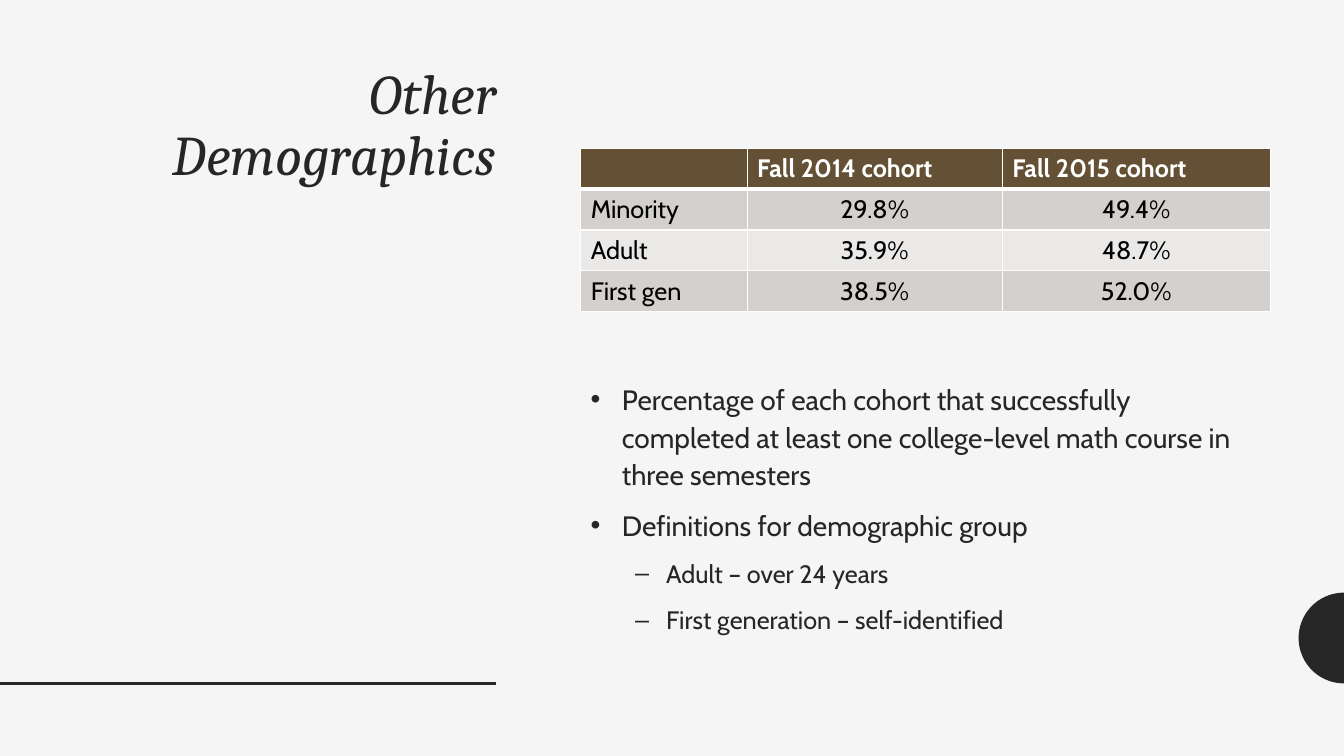
from math import cos, pi, sin

from lxml import etree
from pptx import Presentation
from pptx.dml.color import RGBColor
from pptx.enum.shapes import MSO_CONNECTOR
from pptx.enum.text import MSO_ANCHOR, MSO_AUTO_SIZE, PP_ALIGN
from pptx.oxml.ns import qn
from pptx.util import Inches, Pt

STRAIGHT = MSO_CONNECTOR.STRAIGHT
TOP, MIDDLE = MSO_ANCHOR.TOP, MSO_ANCHOR.MIDDLE
LEFT, CENTER, RIGHT = PP_ALIGN.LEFT, PP_ALIGN.CENTER, PP_ALIGN.RIGHT
NO_AUTOSIZE = MSO_AUTO_SIZE.NONE

COLORS = {
    "background": "F5F5F5",
    "ink": "262626",
    "header": "645135",
    "dark_band": "D3D0CE",
    "light_band": "EAE9E8",
    "white": "FFFFFF",
    "black": "000000",
}


def color(name):
    return RGBColor.from_string(COLORS[name])


def add_text(paragraph, text, color_name, **font_values):
    run = paragraph.add_run()
    run.text = text
    for name, value in font_values.items():
        setattr(run.font, name, value)
    run.font.color.rgb = color(color_name)


presentation = Presentation()
presentation.slide_width = Inches(13.33)
presentation.slide_height = Inches(7.5)
slide = presentation.slides.add_slide(presentation.slide_layouts[5])
slide.background.fill.solid()
slide.background.fill.fore_color.rgb = color("background")

center_x, center_y, radius, steps = 13.33, 6.33, 0.45, 48
arc = [
    (
        Inches(center_x - radius * sin(pi * step / steps)),
        Inches(center_y - radius * cos(pi * step / steps)),
    )
    for step in range(steps + 1)
]
builder = slide.shapes.build_freeform(*arc[0])
builder.add_line_segments(arc[1:], close=True)
half_circle = builder.convert_to_shape()
half_circle.shadow.inherit = False
half_circle.fill.solid()
half_circle.fill.fore_color.rgb = color("ink")
half_circle.line.fill.background()

rule = slide.shapes.add_connector(
    STRAIGHT, Inches(0), Inches(6.78), Inches(4.92), Inches(6.78)
)
rule.line.color.rgb = color("ink")
rule.line.width = Pt(2)
etree.SubElement(rule._element.spPr, qn("a:effectLst"))

title = slide.shapes.title
title.left, title.top = Inches(0.83), Inches(0.61)
title.width, title.height = Inches(4.19), Inches(5.42)
title_frame = title.text_frame
title_frame.word_wrap = True
title_frame.auto_size = NO_AUTOSIZE
title_frame.vertical_anchor = TOP
title_paragraph = title_frame.paragraphs[0]
title_paragraph.alignment = RIGHT
title_paragraph.line_spacing = 0.9
add_text(title_paragraph, "Other Demographics", "ink",
         name="Cambria", size=Pt(40), italic=True)

cohort_rows = [
    ("", "Fall 2014 cohort", "Fall 2015 cohort"),
    ("Minority", "29.8%", "49.4%"),
    ("Adult", "35.9%", "48.7%"),
    ("First gen", "38.5%", "52.0%"),
]
row_fills = ["header", "dark_band", "light_band", "dark_band"]
column_widths = [1.65, 2.53, 2.66]

table = slide.shapes.add_table(
    len(cohort_rows), len(column_widths),
    Inches(5.76), Inches(1.47), Inches(6.84), Inches(1.62),
).table
for column, width in zip(table.columns, column_widths):
    column.width = Inches(width)

for row_index, values in enumerate(cohort_rows):
    is_header = row_index == 0
    border_widths = {
        "a:lnL": 1,
        "a:lnR": 1,
        "a:lnT": 3 if row_index == 1 else 1,
        "a:lnB": 3 if is_header else 1,
    }
    for column_index, value in enumerate(values):
        cell = table.cell(row_index, column_index)
        properties = cell._tc.get_or_add_tcPr()
        for tag, points in border_widths.items():
            border = etree.SubElement(properties, qn(tag), w=str(Pt(points)))
            border_fill = etree.SubElement(border, qn("a:solidFill"))
            etree.SubElement(border_fill, qn("a:srgbClr"), val=COLORS["white"])
        cell.fill.solid()
        cell.fill.fore_color.rgb = color(row_fills[row_index])
        paragraph = cell.text_frame.paragraphs[0]
        paragraph.alignment = LEFT if is_header or column_index == 0 else CENTER
        if value:
            add_text(paragraph, value, "white" if is_header else "black",
                     name="Cabin", size=Pt(18), bold=is_header)

notes_box = slide.shapes.add_textbox(
    Inches(5.76), Inches(3.67), Inches(6.83), Inches(2.71)
)
notes_frame = notes_box.text_frame
notes_frame.word_wrap = True
notes_frame.vertical_anchor = MIDDLE

bullet_levels = [("•", 0.31, 20), ("–", 0.75, 18)]
bullets = [
    (0, "Percentage of each cohort that successfully completed at least "
        "one college-level math course in three semesters"),
    (0, "Definitions for demographic group"),
    (1, "Adult – over 24 years"),
    (1, "First generation – self-identified"),
]
for index, (level, text) in enumerate(bullets):
    symbol, margin, size = bullet_levels[level]
    paragraph = notes_frame.add_paragraph() if index else notes_frame.paragraphs[0]
    paragraph.level = level
    properties = paragraph._p.get_or_add_pPr()
    properties.set("marL", str(Inches(margin)))
    properties.set("indent", str(-Inches(0.31)))
    etree.SubElement(properties, qn("a:buFont"), typeface="Arial")
    etree.SubElement(properties, qn("a:buChar"), char=symbol)
    paragraph.line_spacing = 1.12
    paragraph.space_before = Pt(9 if index else 0)
    add_text(paragraph, text, "ink", name="Cabin", size=Pt(size))

presentation.save("out.pptx")
